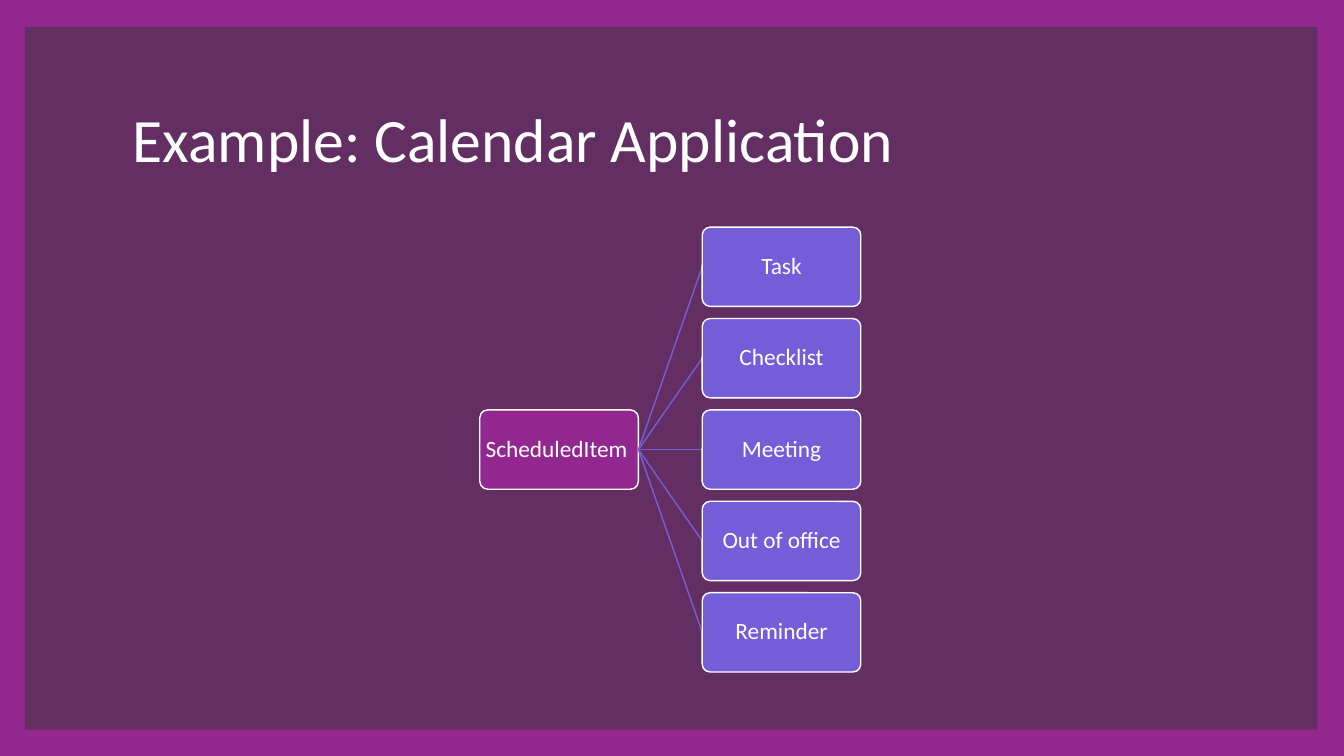
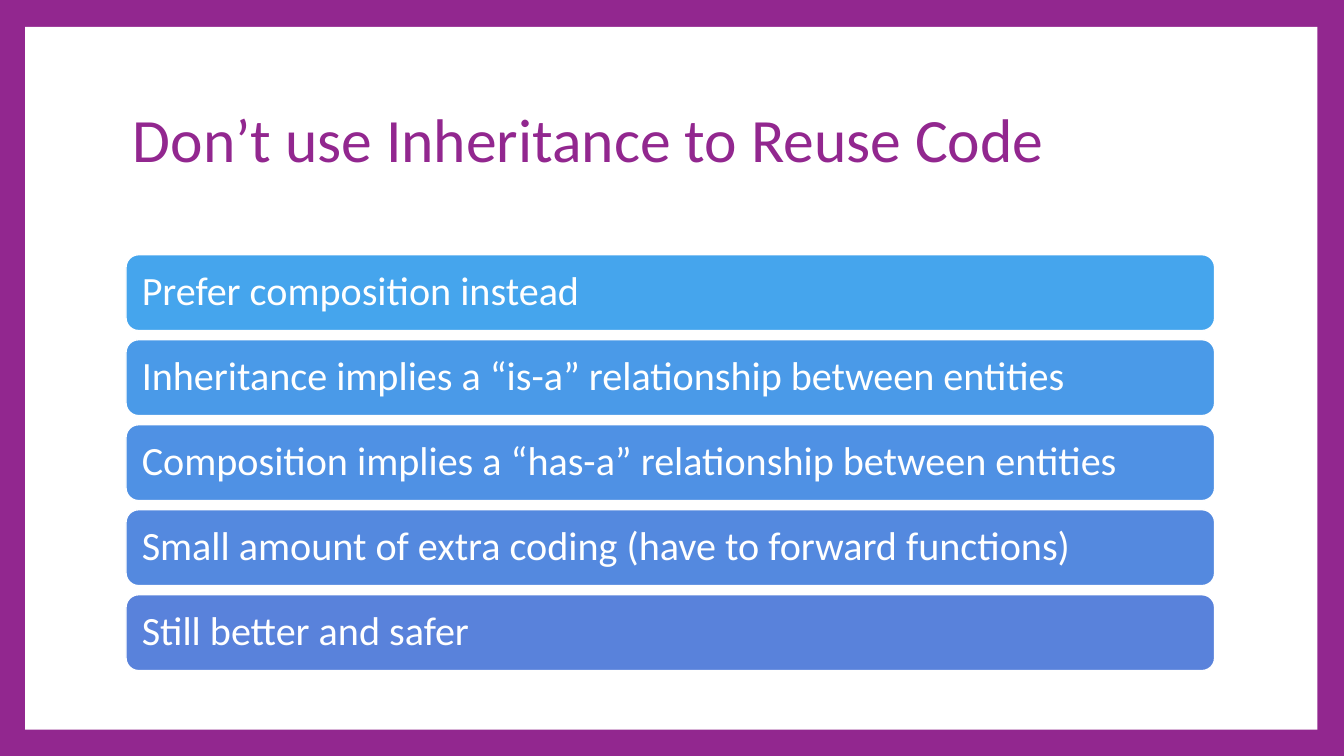
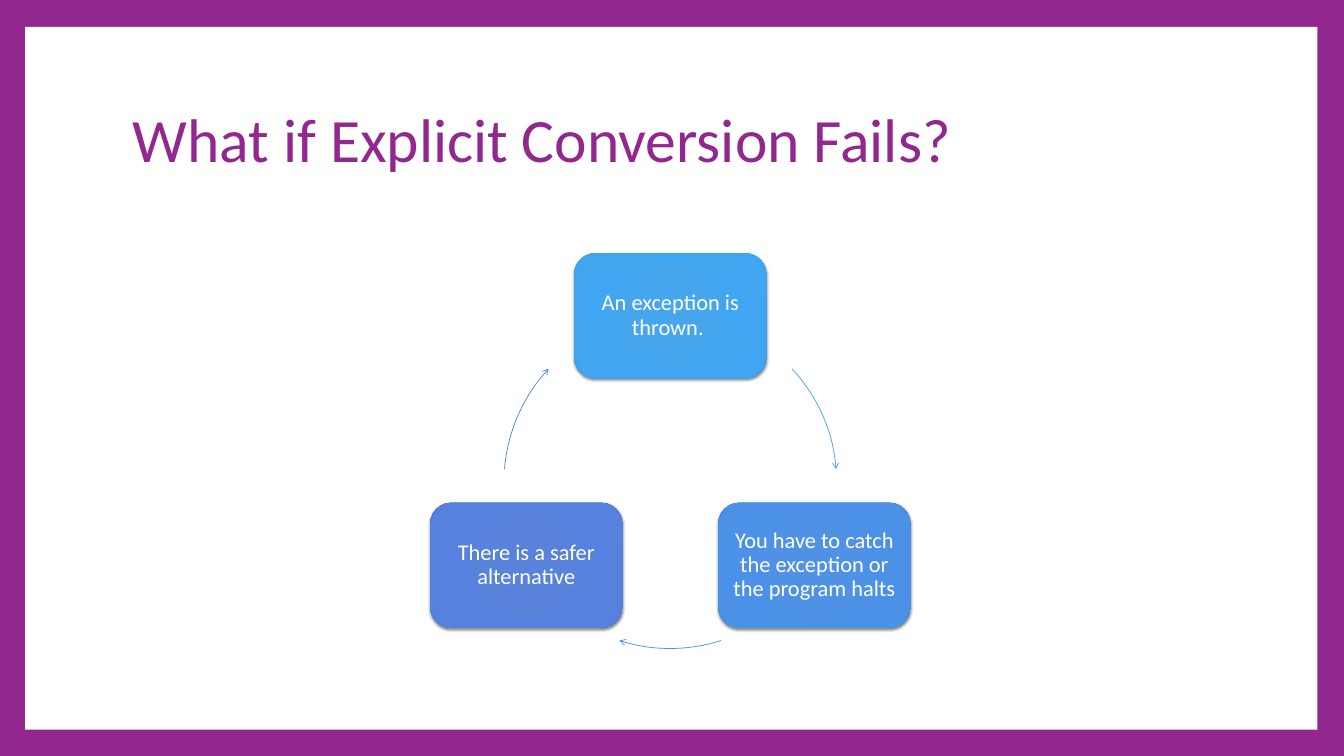
import math
from dataclasses import dataclass
from typing import Optional

from pptx import Presentation
from pptx import util as u
from pptx.dml.color import RGBColor
from pptx.enum import shapes, text
from pptx.oxml import parse_xml
from pptx.oxml.ns import nsdecls, qn

COLUMNS, ROWS = 160, 90


@dataclass(frozen=True)
class Theme:
    font: str = "Calibri"
    frame: str = "92278F"
    dark: str = "632E62"
    light: str = "FFFFFF"
    child: str = "755DD9"
    blues: tuple[str, ...] = ("45A5ED", "4A9AE8", "4F91E4", "5489DF", "5982DB")
    title_size: float = 66
    bar_size: float = 43
    tree_size: float = 25
    cycle_size: float = 24
    outline: float = 1.5
    arrow: float = 0.79


THEME = Theme()


@dataclass(frozen=True)
class Area:
    column: float
    row: float
    columns: float
    rows: float

    @property
    def middle(self) -> float:
        return self.row + self.rows / 2

    @property
    def right(self) -> float:
        return self.column + self.columns


@dataclass(frozen=True)
class Label:
    words: str
    size: float
    inset: float
    align: text.PP_ALIGN = text.PP_ALIGN.CENTER


@dataclass(frozen=True)
class CycleStep:
    words: str
    color: str
    rim: str
    edge: str
    arc_start: float
    arc_end: float


PANEL = Area(3, 3.2, 153.84, 83.68)
TITLE = Area(15, 8, 129.6, 17.84)
BAR = Area(15, 30.32, 129.6, 9.04)
BAR_PITCH = 10.12
PARENT = Area(57.12, 48.8, 18.88, 9.44)
CHILD = Area(83.6, 27.04, 18.88, 9.44)
CHILD_PITCH = 10.88
CYCLE = Area(60, 37.6, 39.6, 39.6)
CARD_COLUMNS, CARD_ROWS = 22.88, 14.88

CHILDREN = ("Task", "Checklist", "Meeting", "Out of office", "Reminder")
ADVICE = (
    "Prefer composition instead",
    "Inheritance implies a “is-a” relationship between entities",
    "Composition implies a “has-a” relationship between entities",
    "Small amount of extra coding (have to forward functions)",
    "Still better and safer",
)
STEPS = (
    CycleStep("An exception is thrown. ", THEME.blues[0], "41A6F1", "2F98E6", 317, 355.5),
    CycleStep("You have to catch the exception or the program halts",
              THEME.blues[2], "4B91E8", "3A82DC", 72.2, 107.8),
    CycleStep("There is a safer alternative", THEME.blues[4], "5681DE", "4572D3", 184.5, 223),
)


def grid(deck, column: float, row: float) -> tuple[int, int]:
    return (round(deck.slide_width * column / COLUMNS),
            round(deck.slide_height * row / ROWS))


def place(deck, area: Area) -> tuple[int, int, int, int]:
    return grid(deck, area.column, area.row) + grid(deck, area.columns, area.rows)


def rgb(color: str) -> RGBColor:
    return RGBColor.from_string(color)


def write(frame, words: str, size: float, color: str, align: text.PP_ALIGN) -> None:
    frame.word_wrap = True
    frame.auto_size = text.MSO_AUTO_SIZE.NONE
    frame.vertical_anchor = text.MSO_ANCHOR.MIDDLE
    para = frame.paragraphs[0]
    para.text = words
    para.alignment = align
    para.line_spacing = 0.9
    para.font.name = THEME.font
    para.font.size = u.Pt(size)
    para.font.color.rgb = rgb(color)


def add_box(deck, page, kind: shapes.MSO_SHAPE, area: Area, fill: Optional[str] = None,
            line: Optional[str] = None, width: float = THEME.outline,
            label: Optional[Label] = None):
    box = page.shapes.add_shape(kind, *place(deck, area))
    box.shadow.inherit = False
    if fill:
        box.fill.solid()
        box.fill.fore_color.rgb = rgb(fill)
    else:
        box.fill.background()
    if line:
        box.line.color.rgb = rgb(line)
        box.line.width = u.Pt(width)
    else:
        box.line.fill.background()
    if label:
        frame = box.text_frame
        frame.margin_left = frame.margin_right = u.Inches(label.inset)
        frame.margin_top = frame.margin_bottom = u.Inches(label.inset)
        write(frame, label.words, label.size, THEME.light, label.align)
    return box


def add_page(deck, title: str, panel_color: str, title_color: str):
    page = deck.slides.add_slide(deck.slide_layouts.get_by_name("Title Only"))
    panel = add_box(deck, page, shapes.MSO_SHAPE.RECTANGLE, PANEL, panel_color)
    page.shapes._spTree.insert(2, panel._element)
    heading = page.shapes.title
    heading.left, heading.top, heading.width, heading.height = place(deck, TITLE)
    write(heading.text_frame, title, THEME.title_size, title_color, text.PP_ALIGN.LEFT)
    return page


def add_branch(deck, page, child: Area) -> None:
    branch = page.shapes.add_connector(
        shapes.MSO_CONNECTOR.STRAIGHT,
        *grid(deck, PARENT.right, PARENT.middle),
        *grid(deck, child.column, child.middle))
    branch.line.color.rgb = rgb(THEME.child)
    branch.line.width = u.Pt(THEME.outline)
    branch._element.spPr.append(parse_xml(f"<a:effectLst {nsdecls('a')}/>"))


def add_tree_box(deck, page, area: Area, words: str, color: str) -> None:
    box = add_box(deck, page, shapes.MSO_SHAPE.ROUNDED_RECTANGLE, area, color, THEME.light,
                  label=Label(words, THEME.tree_size, 0.02))
    box.adjustments[0] = 0.1


def glow(box, step: CycleStep) -> None:
    stops = "".join(
        f'<a:gs pos="{share * 1000}"><a:srgbClr val="{color}"/></a:gs>'
        for share, color in ((0, step.color), (90, step.rim), (100, step.edge)))
    properties = box._element.spPr
    properties.replace(properties.find(qn("a:solidFill")), parse_xml(
        f'<a:gradFill {nsdecls("a")} rotWithShape="1"><a:gsLst>{stops}</a:gsLst>'
        '<a:path path="circle"><a:fillToRect l="100000" t="100000" r="100000" b="100000"/>'
        '</a:path></a:gradFill>'))
    properties.find(qn("a:effectLst")).append(parse_xml(
        f'<a:outerShdw {nsdecls("a")} blurRad="{u.Pt(3)}" dist="{u.Pt(2)}" dir="5400000" '
        'rotWithShape="0"><a:srgbClr val="000000"><a:alpha val="45000"/></a:srgbClr>'
        '</a:outerShdw>'))


def add_step(deck, page, index: int, step: CycleStep) -> None:
    angle = math.radians(120 * index - 90)
    radius = CYCLE.columns / 2
    card = Area(CYCLE.column + radius * (1 + math.cos(angle)) - CARD_COLUMNS / 2,
                CYCLE.row + radius * (1 + math.sin(angle)) - CARD_ROWS / 2,
                CARD_COLUMNS, CARD_ROWS)
    box = add_box(deck, page, shapes.MSO_SHAPE.ROUNDED_RECTANGLE, card, step.color,
                  label=Label(step.words, THEME.cycle_size, 0.1))
    glow(box, step)
    arc = add_box(deck, page, shapes.MSO_SHAPE.ARC, CYCLE, line=step.color, width=THEME.arrow)
    for position, degrees in enumerate((step.arc_start, step.arc_end)):
        arc.adjustments[position] = degrees * 0.6
    arc._element.spPr.get_or_add_ln().append(
        parse_xml(f'<a:tailEnd {nsdecls("a")} type="arrow"/>'))


def build_calendar(deck) -> None:
    page = add_page(deck, "Example: Calendar Application", THEME.dark, THEME.light)
    add_tree_box(deck, page, PARENT, "ScheduledItem ", THEME.frame)
    for index, words in enumerate(CHILDREN):
        child = Area(CHILD.column, CHILD.row + index * CHILD_PITCH, CHILD.columns, CHILD.rows)
        add_branch(deck, page, child)
        add_tree_box(deck, page, child, words, THEME.child)


def build_advice(deck) -> None:
    page = add_page(deck, "Don’t use Inheritance to Reuse Code", THEME.light, THEME.frame)
    for index, (words, color) in enumerate(zip(ADVICE, THEME.blues)):
        bar = Area(BAR.column, BAR.row + index * BAR_PITCH, BAR.columns, BAR.rows)
        add_box(deck, page, shapes.MSO_SHAPE.ROUNDED_RECTANGLE, bar, color, THEME.light,
                label=Label(words, THEME.bar_size, 0.18, text.PP_ALIGN.LEFT))


def build_conversion(deck) -> None:
    page = add_page(deck, "What if Explicit Conversion Fails?", THEME.light, THEME.frame)
    for index, step in enumerate(STEPS):
        add_step(deck, page, index, step)


def main() -> None:
    deck = Presentation()
    deck.slide_width, deck.slide_height = u.Inches(20), u.Inches(11.25)
    backdrop = deck.slide_master.background.fill
    backdrop.solid()
    backdrop.fore_color.rgb = rgb(THEME.frame)
    build_calendar(deck)
    build_advice(deck)
    build_conversion(deck)
    deck.save("out.pptx")


if __name__ == "__main__":
    main()
